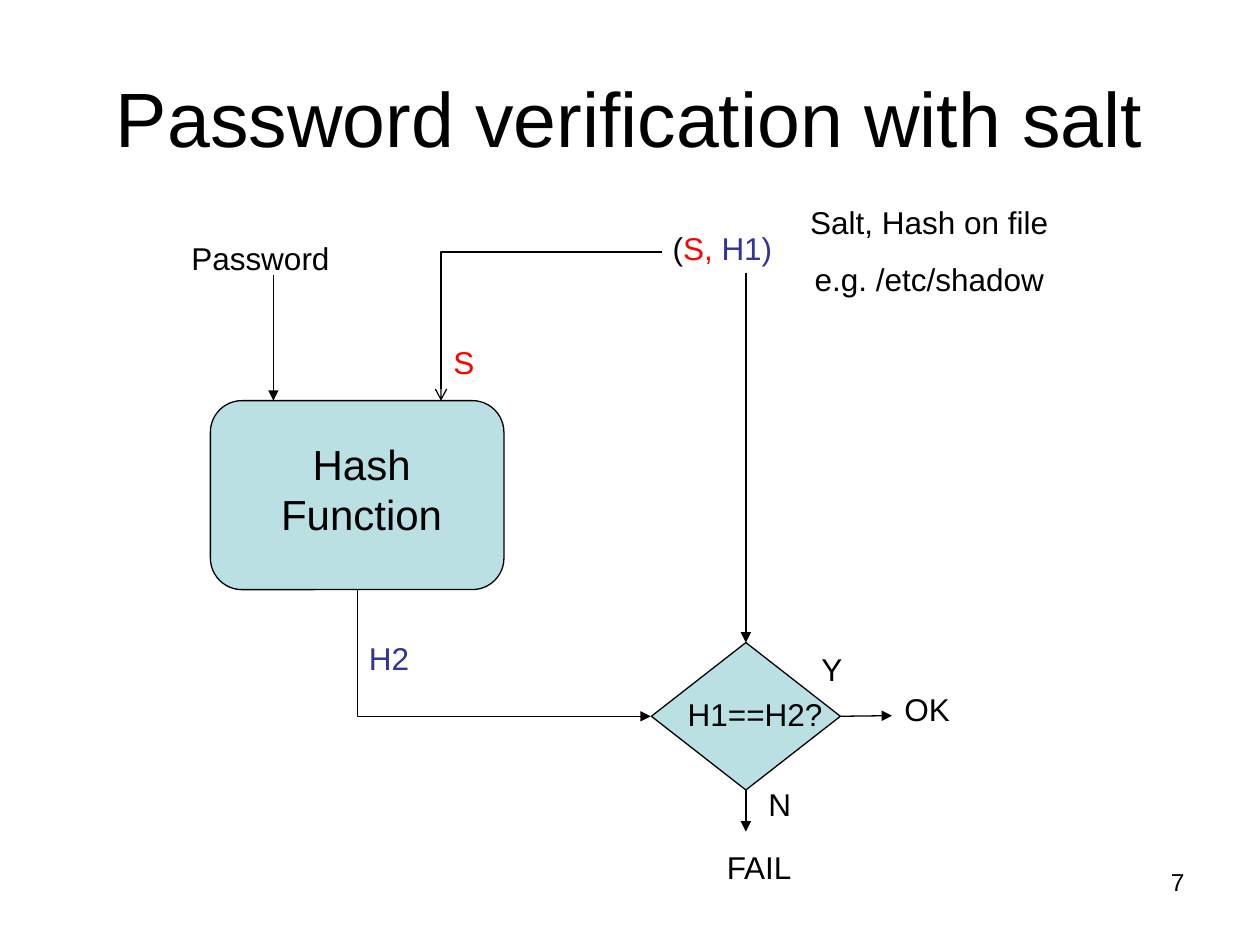
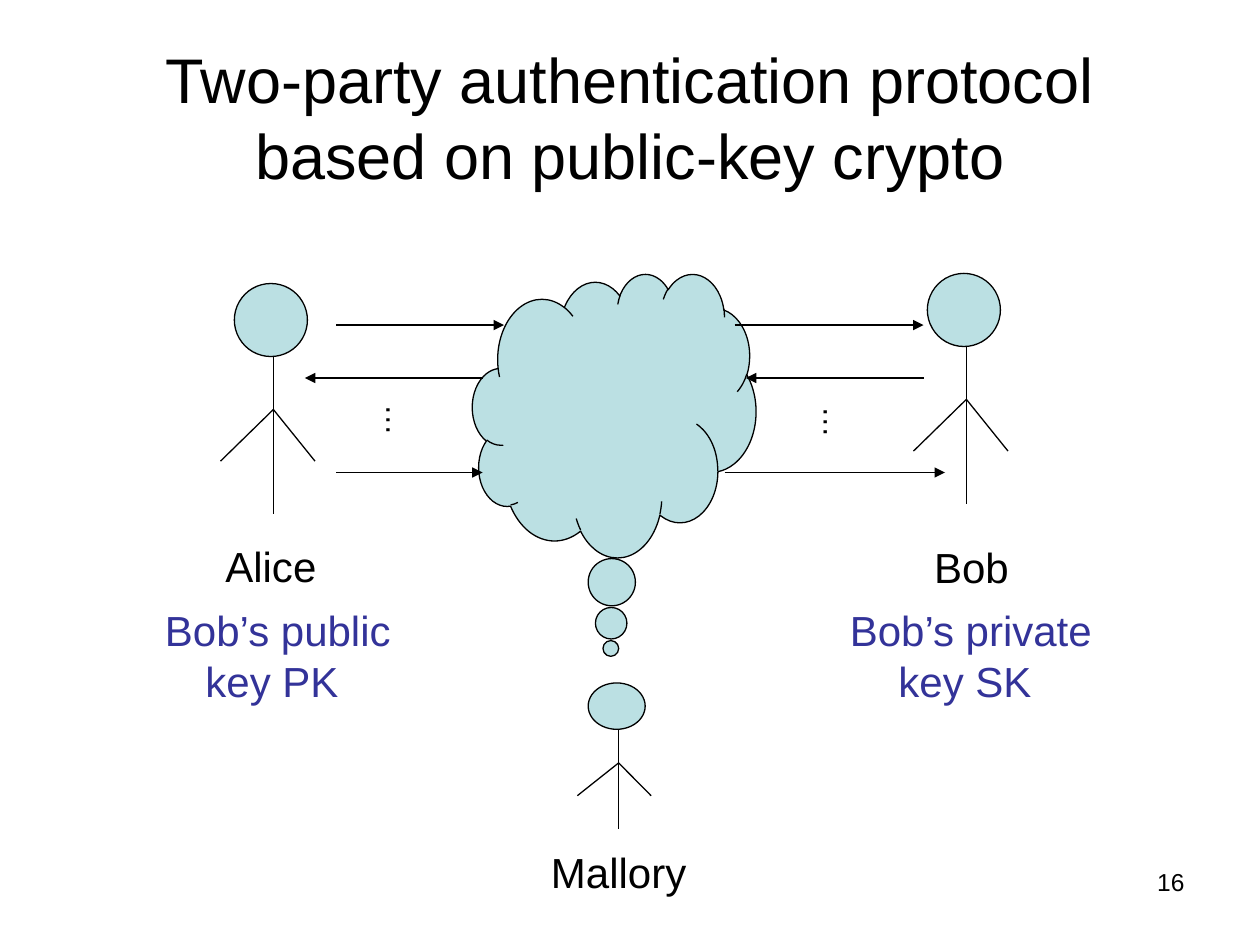
from dataclasses import dataclass
from typing import Any

import pptx
import pptx.dml.color
import pptx.enum.shapes
import pptx.enum.text
import pptx.oxml
import pptx.oxml.ns
import pptx.util

Inches = pptx.util.Inches
Pt = pptx.util.Pt
SHAPE = pptx.enum.shapes.MSO_SHAPE
LINE = pptx.enum.shapes.MSO_CONNECTOR
ALIGN = pptx.enum.text.PP_ALIGN
ANCHOR = pptx.enum.text.MSO_ANCHOR
AUTO = pptx.enum.text.MSO_AUTO_SIZE
qn = pptx.oxml.ns.qn

# Shared style
FONT = "Arial"
BLACK = "000000"
TEAL = "BBE0E3"
RED = "FF0000"
INDIGO = "333399"
LINE_WIDTH = 0.75
LABEL, NAME = 18, 24


@dataclass
class Label:
    """A text box; runs are (text, colour) pairs, one list per paragraph."""
    paragraphs: list[list[tuple[str, str]]]
    left: float
    top: float
    width: float = 1.67
    height: float = 0.4
    size: float = LABEL
    align: Any = ALIGN.LEFT
    before: float = 11.2
    rotation: float = 0
    wrap: bool = True
    grow: bool = True
    anchor: Any = ANCHOR.TOP


@dataclass
class Arrow:
    x1: float
    y1: float
    x2: float
    y2: float
    start: Any = None  # (shape, connection site)
    end: Any = None
    head: str = "triangle"


@dataclass
class Elbow:
    """A one-corner connector, given by its unrotated frame."""
    left: float
    top: float
    width: float
    height: float
    rotation: int
    flip: str
    head: str


@dataclass
class Person:
    """A stick figure; x is the body line and y the top of the head."""
    x: float
    y: float
    scale_x: float = 1
    scale_y: float = 1


def rgb(color: str) -> pptx.dml.color.RGBColor:
    return pptx.dml.color.RGBColor.from_string(color)


def plain(text: str, color: str = BLACK) -> list[list[tuple[str, str]]]:
    return [[(text, color)]]


def name_label(text: str, left: float, top: float, width: float = 1.58,
               height: float = 0.5, color: str = BLACK) -> Label:
    return Label(plain(text, color), left, top, width, height, NAME, ALIGN.CENTER, 15)


def set_line(sp: Any) -> None:
    sp.line.color.rgb = rgb(BLACK)
    sp.line.width = Pt(LINE_WIDTH)


def add_label(s: Any, label: Label) -> None:
    sp = s.shapes.add_textbox(Inches(label.left), Inches(label.top),
                              Inches(label.width), Inches(label.height))
    sp.rotation = label.rotation
    tf = sp.text_frame
    tf.word_wrap = label.wrap
    tf.auto_size = AUTO.SHAPE_TO_FIT_TEXT if label.grow else AUTO.NONE
    tf.vertical_anchor = label.anchor
    for i, runs in enumerate(label.paragraphs):
        p = tf.add_paragraph() if i else tf.paragraphs[0]
        p.alignment = label.align
        p.space_before = Pt(label.before)
        p.font.name = FONT
        p.font.size = Pt(label.size)
        p.font.color.rgb = rgb(runs[0][1])
        for text, color in runs:
            r = p.add_run()
            r.text = text
            if color != runs[0][1]:
                r.font.color.rgb = rgb(color)


def add_block(shapes: Any, kind: Any, left: float, top: float,
              width: float, height: float) -> Any:
    sp = shapes.add_shape(kind, Inches(left), Inches(top), Inches(width), Inches(height))
    sp.shadow.inherit = False
    sp.fill.solid()
    sp.fill.fore_color.rgb = rgb(TEAL)
    set_line(sp)
    return sp


def add_line(shapes: Any, x1: float, y1: float, x2: float, y2: float,
             head: str = "", kind: Any = LINE.STRAIGHT) -> Any:
    sp = shapes.add_connector(kind, Inches(x1), Inches(y1), Inches(x2), Inches(y2))
    set_line(sp)
    props = sp._element.spPr
    if head:
        tail = pptx.oxml.parse_xml(
            '<a:tailEnd xmlns:a="http://schemas.openxmlformats.org/drawingml/2006/main"'
            f' type="{head}" w="med" len="med"/>')
        props.find(qn("a:ln")).append(tail)
    props.append(pptx.oxml.parse_xml(
        '<a:effectLst xmlns:a="http://schemas.openxmlformats.org/drawingml/2006/main"/>'))
    return sp


def add_arrow(s: Any, arrow: Arrow) -> None:
    sp = add_line(s.shapes, arrow.x1, arrow.y1, arrow.x2, arrow.y2, arrow.head)
    if arrow.start:
        sp.begin_connect(*arrow.start)
    if arrow.end:
        sp.end_connect(*arrow.end)


def add_elbow(s: Any, elbow: Elbow) -> None:
    sp = add_line(s.shapes, elbow.left, elbow.top, elbow.left + elbow.width,
                  elbow.top + elbow.height, elbow.head, LINE.ELBOW)
    props = sp._element.spPr
    props.find(qn("a:prstGeom")).set("prst", "bentConnector2")
    frame = props.find(qn("a:xfrm"))
    frame.set("rot", str(elbow.rotation * 60000))
    frame.set(elbow.flip, "1")


def add_person(s: Any, person: Person) -> None:
    group = s.shapes.add_group_shape().shapes

    def at(dx: float, dy: float) -> tuple[float, float]:
        return person.x + dx * person.scale_x, person.y + dy * person.scale_y

    add_block(group, SHAPE.OVAL, *at(-0.31, 0), 0.58 * person.scale_x, 0.58 * person.scale_y)
    shoulder = at(0, 1)
    add_line(group, *at(0, 0.58), *at(0, 1.83))
    for hand in (-0.42, 0.33):
        add_line(group, *shoulder, *at(hand, 1.41))


def new_slide(prs: Any, title: str, size: float, number: int) -> Any:
    s = prs.slides.add_slide(prs.slide_layouts[6])
    add_label(s, Label(plain(title), 0.5, 0.3, 9, 1.25, size, ALIGN.CENTER, 0,
                       grow=False, anchor=ANCHOR.MIDDLE))
    add_label(s, Label(plain(str(number)), 7.17, 6.83, 2.33, 0.52, 14, ALIGN.RIGHT, 0,
                       grow=False))
    return s


def salt_slide(prs: Any) -> None:
    s = new_slide(prs, "Password verification with salt", 44, 7)

    # Hash and comparison steps
    hash_box = add_block(s.shapes, SHAPE.ROUNDED_RECTANGLE, 1.67, 3.18, 2.33, 1.5)
    hash_box.adjustments[0] = 0.167
    check = add_block(s.shapes, SHAPE.DIAMOND, 5.17, 5.1, 1.5, 1.17)

    # Flow
    for arrow in (
        Arrow(2.17, 2.18, 2.17, 3.18),
        Arrow(6.67, 5.68, 7.08, 5.68, start=(check, 3)),
        Arrow(5.92, 6.27, 5.92, 6.6, start=(check, 2)),
        Arrow(5.92, 2.17, 5.92, 5.1, end=(check, 0)),
    ):
        add_arrow(s, arrow)
    add_elbow(s, Elbow(3.5, 4.02, 1, 2.33, 270, "flipH", "triangle"))
    add_elbow(s, Elbow(3.5, 2, 1.75, 1.18, 180, "flipV", "arrow"))

    # Labels
    for label in (
        name_label("Hash Function", 2.08, 3.43, height=0.9),
        Label(plain("Password"), 1.42, 1.85),
        Label(plain("Salt, Hash on file") + plain("e.g. /etc/shadow"),
              6.25, 1.56, 2.25, 0.86, align=ALIGN.CENTER),
        Label(plain("H1==H2?"), 5.36, 5.47),
        Label(plain("H2", INDIGO), 2.83, 5.02),
        Label(plain("OK"), 7.08, 5.43),
        Label(plain("FAIL"), 5.67, 6.68),
        Label(plain("Y"), 6.42, 5.11),
        Label(plain("N"), 6, 6.18),
        Label(plain("S", RED), 3.5, 2.67, 0.42),
        Label([[(" (", BLACK), ("S, ", RED), ("H1)", INDIGO)]],
              5.17, 1.77, 1.06, before=0, wrap=False),
    ):
        add_label(s, label)


def protocol_slide(prs: Any) -> None:
    s = new_slide(prs, "Two-party authentication protocol based on public-key crypto", 36, 16)

    # Bob, Alice and the attacker between them
    for person in (Person(7.67, 2.17), Person(2.17, 2.25), Person(4.91, 5.42, 0.78, 0.635)):
        add_person(s, person)
    cloud = add_block(s.shapes, SHAPE.CLOUD_CALLOUT, 3.75, 2.17, 2.25, 2.25)
    cloud.adjustments[0] = -0.012
    cloud.adjustments[1] = 0.823

    # Messages
    for y, x1, x2 in (
        (2.58, 2.67, 4), (2.58, 5.83, 7.33),
        (3, 7.33, 5.92), (3, 3.83, 2.42),
        (3.75, 2.67, 3.83), (3.75, 5.75, 7.5),
    ):
        add_arrow(s, Arrow(x1, y, x2, y))
    for left, top in ((2.83, 3.25), (6.3, 3.26)):
        add_label(s, Label(plain("…"), left, top, 0.67, rotation=90))

    # Names and keys
    for label in (
        name_label("Alice", 1.36, 4.24),
        name_label("Bob", 7.17, 4.25, 1.08),
        name_label("Mallory", 4.12, 6.67),
        name_label("Bob’s private key SK ", 6.58, 4.75, 2.25, 0.9, INDIGO),
        name_label("Bob’s public key PK ", 1.08, 4.75, 2.25, 0.9, INDIGO),
    ):
        add_label(s, label)


def main() -> None:
    prs = pptx.Presentation()
    prs.slide_width = Inches(10)
    prs.slide_height = Inches(7.5)
    salt_slide(prs)
    protocol_slide(prs)
    prs.save("out.pptx")


if __name__ == "__main__":
    main()
